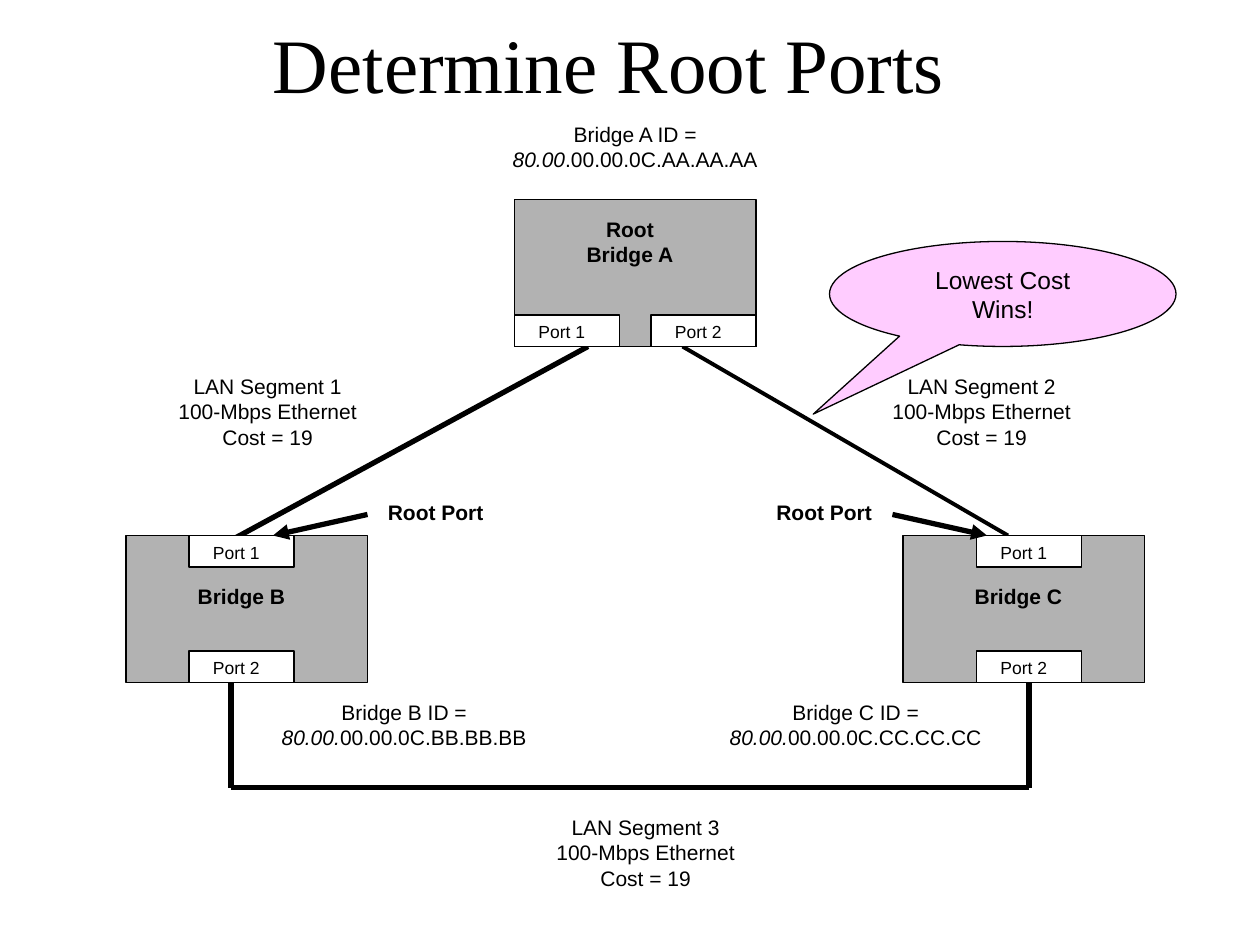
from lxml import etree
from pptx import Presentation
from pptx.dml.color import RGBColor
from pptx.enum.shapes import MSO_CONNECTOR, MSO_SHAPE
from pptx.enum.text import MSO_ANCHOR, PP_ALIGN
from pptx.oxml.ns import qn
from pptx.util import Emu, Pt

PX = 7620  # EMU per px, 120 px to the inch
BLACK = RGBColor(0x00, 0x00, 0x00)
WHITE = RGBColor(0xFF, 0xFF, 0xFF)
GREY = RGBColor(0xB2, 0xB2, 0xB2)
PINK = RGBColor(0xFF, 0xCC, 0xFF)
RECTANGLE = MSO_SHAPE.RECTANGLE
CALLOUT = MSO_SHAPE.OVAL_CALLOUT
STRAIGHT = MSO_CONNECTOR.STRAIGHT
CENTER = PP_ALIGN.CENTER
MIDDLE = MSO_ANCHOR.MIDDLE

deck = Presentation()
deck.slide_width, deck.slide_height = Emu(1200 * PX), Emu(900 * PX)
page = deck.slides.add_slide(deck.slide_layouts[5])


def write(frame, text, size, bold=False, font="Arial"):
    frame.text = text
    for para in frame.paragraphs:
        para.alignment = CENTER
        para.font.name = font
        para.font.size = Pt(size)
        para.font.bold = bold
        para.font.color.rgb = BLACK


def add_box(bounds, fill=None, kind=RECTANGLE):
    """Add an outlined shape, or a plain text box when there is no fill."""
    bounds = [Emu(length * PX) for length in bounds]
    if fill is None:
        box = page.shapes.add_textbox(*bounds)
        box.text_frame.word_wrap = True
        return box
    box = page.shapes.add_shape(kind, *bounds)
    box.shadow.inherit = False
    box.fill.solid()
    box.fill.fore_color.rgb = fill
    box.line.color.rgb = BLACK
    box.line.width = Pt(0.75)
    return box


# Title
title = page.shapes.title
title.left, title.top, title.width, title.height = [
    Emu(length * PX) for length in (70, 30, 1020, 60)]
title.text_frame.vertical_anchor = MIDDLE
write(title.text_frame, "Determine Root Ports", 44, font="Times New Roman")

# LAN links and root port arrows
links = [
    (560, 330, 210, 520, 3, False),
    (650, 330, 960, 510, 2.25, False),
    (980, 750, 220, 750, 3, False),
    (220, 650, 220, 750, 3, False),
    (980, 650, 980, 750, 3, False),
    (350, 490, 260, 510, 3, True),
    (850, 490, 940, 510, 3, True),
]
arrows = []
for *ends, weight, has_head in links:
    link = page.shapes.add_connector(STRAIGHT, *[Emu(end * PX) for end in ends])
    link.line.color.rgb = BLACK
    link.line.width = Pt(weight)
    properties = link._element.spPr
    if has_head:
        etree.SubElement(properties.find(qn("a:ln")), qn("a:tailEnd"), type="triangle")
        arrows.append(link)
    etree.SubElement(properties, qn("a:effectLst"))

# Bridges with their names and ports
bridges = [
    ("Bridge B", 120, 510, 40, [(180, 510), (180, 620)]),
    ("Bridge C", 860, 510, 40, [(930, 510), (930, 620)]),
    ("Root\nBridge A", 490, 190, 10, [(490, 300), (620, 300)]),
]
for name, left, top, name_offset, ports in bridges:
    add_box((left, top, 230, 140), GREY)
    label = add_box((left - 10, top + name_offset, 240, 36))
    write(label.text_frame, name, 12, bold=True)
    for number, (port_left, port_top) in enumerate(ports, start=1):
        add_box((port_left, port_top, 100, 30), WHITE)
        label = add_box((port_left - 10, port_top, 110, 32))
        write(label.text_frame, f"Port {number}", 10)

# Arrows lie over the bridges
for arrow in arrows:
    page.shapes._spTree.append(arrow._element)

# Bridge IDs, with the priority in italics
bridge_ids = [
    ("A", 430, 110, "80.00", ".00.00.0C.AA.AA.AA"),
    ("B", 210, 660, "80.00.", "00.00.0C.BB.BB.BB"),
    ("C", 640, 660, "80.00.", "00.00.0C.CC.CC.CC"),
]
for letter, left, top, priority, address in bridge_ids:
    label = add_box((left, top, 350, 84))
    write(label.text_frame, f"Bridge {letter} ID = ", 12)
    para = label.text_frame.paragraphs[0]
    span = para.add_run()
    span.text = priority
    span.font.italic = True
    para.add_run().text = address

# LAN segment labels
for number, left, top in [(1, 80, 350), (2, 760, 350), (3, 440, 770)]:
    label = add_box((left, top, 350, 84))
    write(label.text_frame, f"LAN Segment {number}\n100-Mbps Ethernet\nCost = 19", 12)

# Root port labels
for left in (240, 610):
    label = add_box((left, 470, 350, 36))
    write(label.text_frame, "Root Port", 12, bold=True)

# Callout
callout = add_box((790, 230, 330, 100), PINK, CALLOUT)
callout.adjustments[0] = -0.547
callout.adjustments[1] = 1.144
callout.text_frame.word_wrap = False
callout.text_frame.vertical_anchor = MIDDLE
write(callout.text_frame, "Lowest Cost\nWins!", 14)

deck.save("out.pptx")
